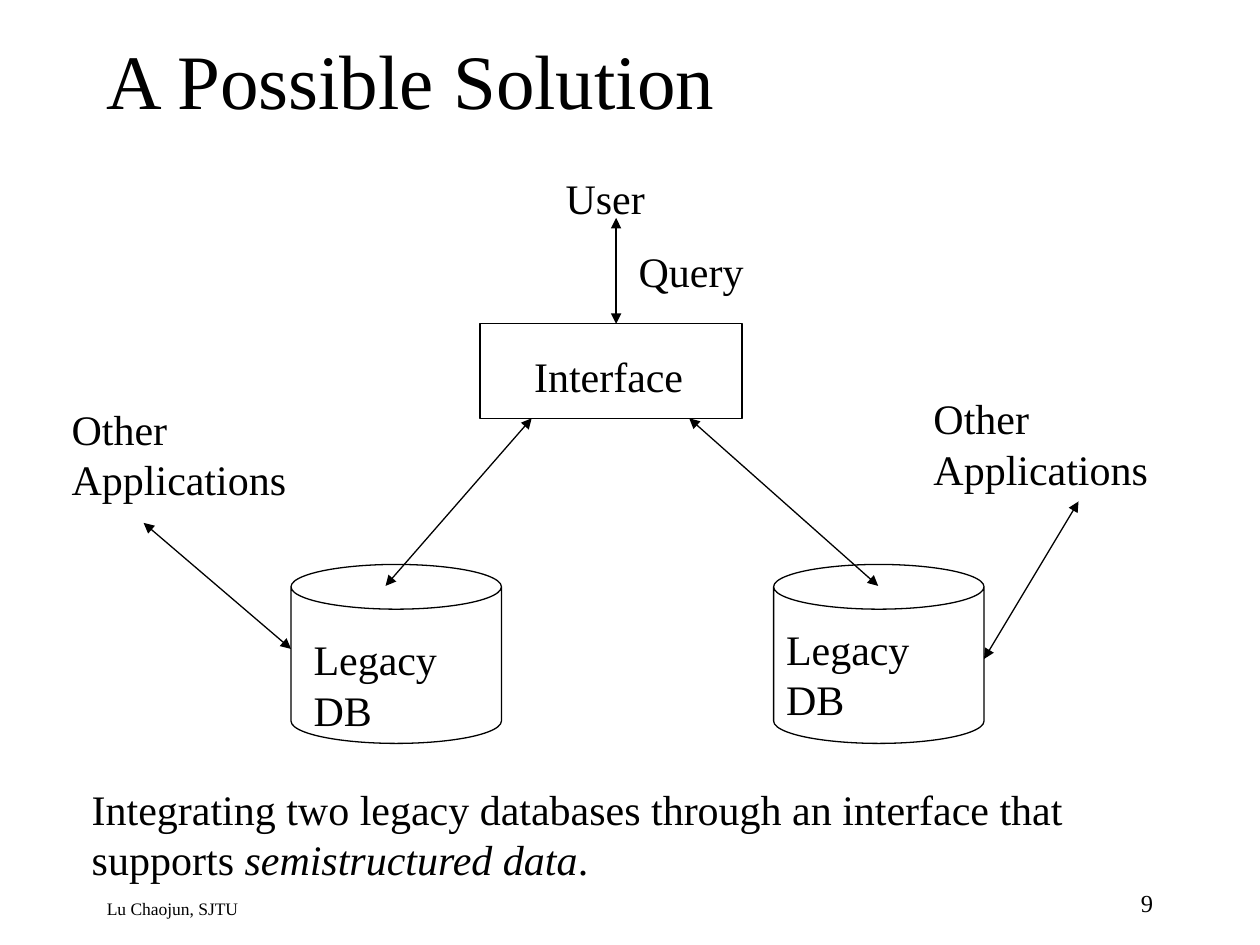
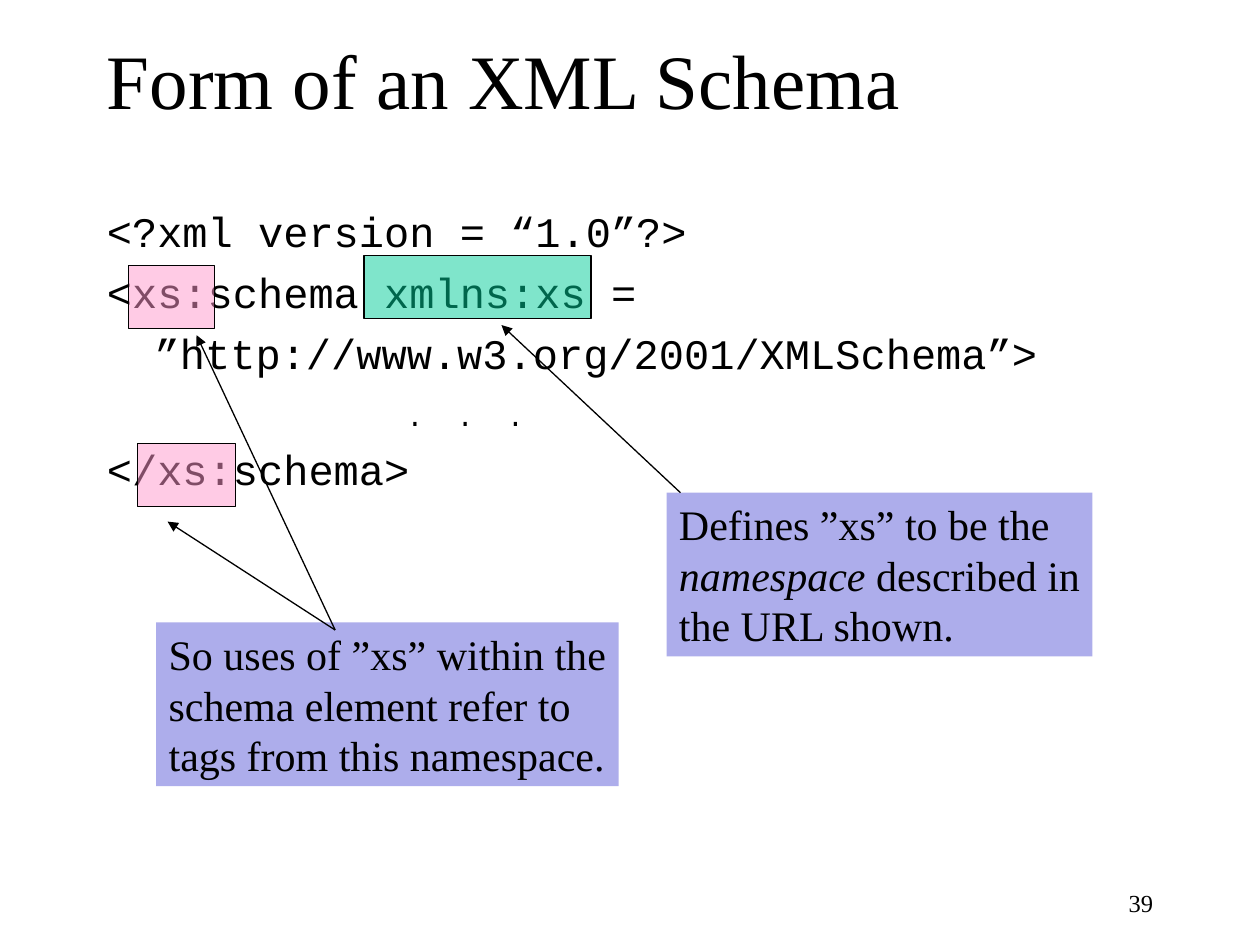
import dataclasses

import lxml.etree
import pptx
import pptx.dml.color
import pptx.enum.shapes
import pptx.enum.text
import pptx.oxml.ns
import pptx.util

Inches = pptx.util.Inches
Pt = pptx.util.Pt
Color = pptx.dml.color.RGBColor.from_string
Shapes = pptx.enum.shapes.MSO_SHAPE
Align = pptx.enum.text.PP_ALIGN
Anchor = pptx.enum.text.MSO_ANCHOR
qn = pptx.oxml.ns.qn


@dataclasses.dataclass(frozen=True)
class Theme:
    ink: str = "000000"
    callout: str = "ADADEB"
    prefix: str = "FF99CC"
    declaration: str = "00CC99"
    font: str = "Times New Roman"
    code_font: str = "Courier New"
    title_size: float = 44
    body_size: float = 24
    ellipsis_size: float = 16
    number_size: float = 14
    footer_size: float = 10
    line_width: float = 0.75


theme = Theme()


def add_text(slide, box, paragraphs, size=theme.body_size, font=theme.font,
             align=Align.LEFT, anchor=Anchor.TOP):
    """Add a text box; each paragraph is a list of (text, italic) runs."""
    shape = slide.shapes.add_textbox(*map(Inches, box))
    frame = shape.text_frame
    frame.word_wrap = True
    frame.vertical_anchor = anchor
    for index, runs in enumerate(paragraphs):
        paragraph = frame.add_paragraph() if index else frame.paragraphs[0]
        paragraph.alignment = align
        for text, italic in runs:
            run = paragraph.add_run()
            run.text = text
            run.font.name = font
            run.font.size = Pt(size)
            run.font.italic = italic
            run.font.color.rgb = Color(theme.ink)
    return shape


def add_arrow(slide, start, end, both_ends=False):
    connector = slide.shapes.add_connector(
        pptx.enum.shapes.MSO_CONNECTOR.STRAIGHT, *map(Inches, start + end))
    connector.line.color.rgb = Color(theme.ink)
    connector.line.width = Pt(theme.line_width)
    line = connector.line._get_or_add_ln()
    for tag in ("a:headEnd", "a:tailEnd") if both_ends else ("a:tailEnd",):
        lxml.etree.SubElement(line, qn(tag), type="triangle")
    lxml.etree.SubElement(connector._element.spPr, qn("a:effectLst"))


presentation = pptx.Presentation()
presentation.slide_width = Inches(10)
presentation.slide_height = Inches(7.5)

# Title and slide number on every slide
slides = []
for title, number in (("A Possible Solution", "9"), ("Form of an XML Schema", "39")):
    slide = presentation.slides.add_slide(presentation.slide_layouts[6])
    add_text(slide, (0.75, 0, 8.5, 1.25), [[(title, False)]],
             size=theme.title_size, anchor=Anchor.MIDDLE)
    add_text(slide, (7.17, 7, 2.08, 0.33), [[(number, False)]],
             size=theme.number_size, align=Align.RIGHT)
    slides.append(slide)
solution, schema = slides

# Slide 1: footer
add_text(solution, (0.75, 7.08, 5.8, 0.25), [[("Lu Chaojun, SJTU", False)]],
         size=theme.footer_size)

# Databases and interface
for kind, box in (
    (Shapes.CAN, (2.31, 4.48, 1.67, 1.42)),
    (Shapes.CAN, (6.14, 4.48, 1.67, 1.42)),
    (Shapes.RECTANGLE, (3.81, 2.57, 2.08, 0.75)),
):
    shape = solution.shapes.add_shape(kind, *map(Inches, box))
    shape.shadow.inherit = False
    shape.fill.background()
    shape.line.color.rgb = Color(theme.ink)
    shape.line.width = Pt(theme.line_width)

# Diagram labels
for label, box in (
    ("Legacy DB", (2.39, 4.98, 1.67, 0.9)),
    ("Legacy DB", (6.14, 4.9, 1.67, 0.9)),
    ("Interface", (4.14, 2.73, 1.92, 0.5)),
    ("Other Applications", (0.47, 3.15, 2.08, 0.9)),
    ("Other Applications", (7.31, 3.07, 2.08, 0.9)),
    ("User", (4.39, 1.32, 1.08, 0.5)),
    ("Query", (4.97, 1.9, 1.33, 0.5)),
):
    add_text(solution, box, [[(label, False)]])

# Two-way links
for start, end in (
    ((4.22, 3.32), (3.06, 4.65)),
    ((5.47, 3.32), (6.97, 4.65)),
    ((1.14, 4.15), (2.31, 5.15)),
    ((8.56, 3.98), (7.81, 5.23)),
    ((4.89, 1.73), (4.89, 2.57)),
):
    add_arrow(solution, start, end, both_ends=True)

# Caption
add_text(solution, (0.63, 6.17, 8.67, 0.9), [[
    ("Integrating two legacy databases through an interface that supports ", False),
    ("semistructured data", True),
    (".", False),
]])

# Slide 2: code lines as text, left indent, space before, size
code_lines = (
    ("<?xml version = “1.0”?>", 0, 0, theme.body_size),
    ("<xs:schema xmlns:xs =", 0, 6, theme.body_size),
    ("”http://www.w3.org/2001/XMLSchema”>", 0.38, 6, theme.body_size),
    (".  .  .", 2.38, 12, theme.ellipsis_size),
    ("</xs:schema>", 0, 6.4, theme.body_size),
)
code = add_text(schema, (0.75, 1.58, 8.5, 5.08),
                [[(line[0], False)] for line in code_lines], font=theme.code_font)
for paragraph, (_, indent, before, size) in zip(code.text_frame.paragraphs, code_lines):
    paragraph._p.get_or_add_pPr().set("marL", str(Inches(indent)))
    paragraph.space_before = Pt(before)
    paragraph.runs[0].font.size = Pt(size)

# Half-transparent highlights
for color, box in (
    (theme.declaration, (2.89, 2.03, 1.8, 0.5)),
    (theme.prefix, (1.02, 2.11, 0.68, 0.5)),
    (theme.prefix, (1.09, 3.52, 0.78, 0.5)),
):
    highlight = schema.shapes.add_shape(Shapes.RECTANGLE, *map(Inches, box))
    highlight.shadow.inherit = False
    highlight.fill.solid()
    highlight.fill.fore_color.rgb = Color(color)
    fill_color = highlight._element.spPr.find(qn("a:solidFill"))[0]
    lxml.etree.SubElement(fill_color, qn("a:alpha"), val="50000")
    highlight.line.color.rgb = Color(theme.ink)
    highlight.line.width = Pt(theme.line_width)

# Callouts, with a slim right margin so that each line fits
for box, paragraphs in (
    ((5.29, 3.91, 3.38, 1.3), [
        [("Defines ”xs” to be the", False)],
        [("namespace ", True), ("described in", False)],
        [("the URL shown.", False)],
    ]),
    ((1.24, 4.94, 3.67, 1.3), [
        [("So uses of ”xs” within the", False)],
        [("schema element refer to", False)],
        [("tags from this namespace.", False)],
    ]),
):
    callout = add_text(schema, box, paragraphs)
    callout.text_frame.margin_right = Inches(0.02)
    callout.fill.solid()
    callout.fill.fore_color.rgb = Color(theme.callout)

# Pointers from the callouts to the code
for start, end in (
    ((5.4, 3.91), (3.98, 2.58)),
    ((2.66, 5), (1.33, 4.14)),
    ((2.66, 5), (1.56, 2.66)),
):
    add_arrow(schema, start, end)

presentation.save("out.pptx")
